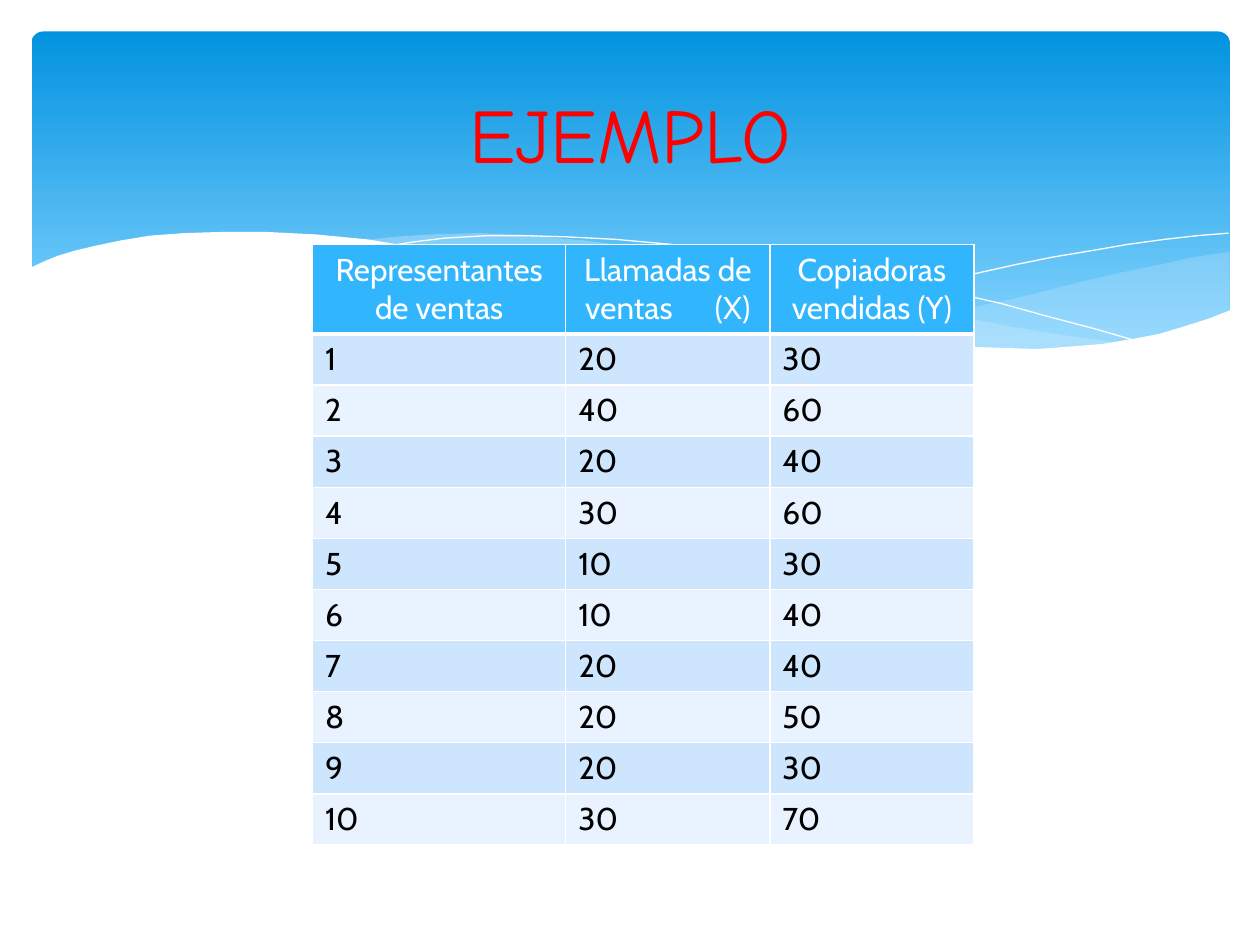
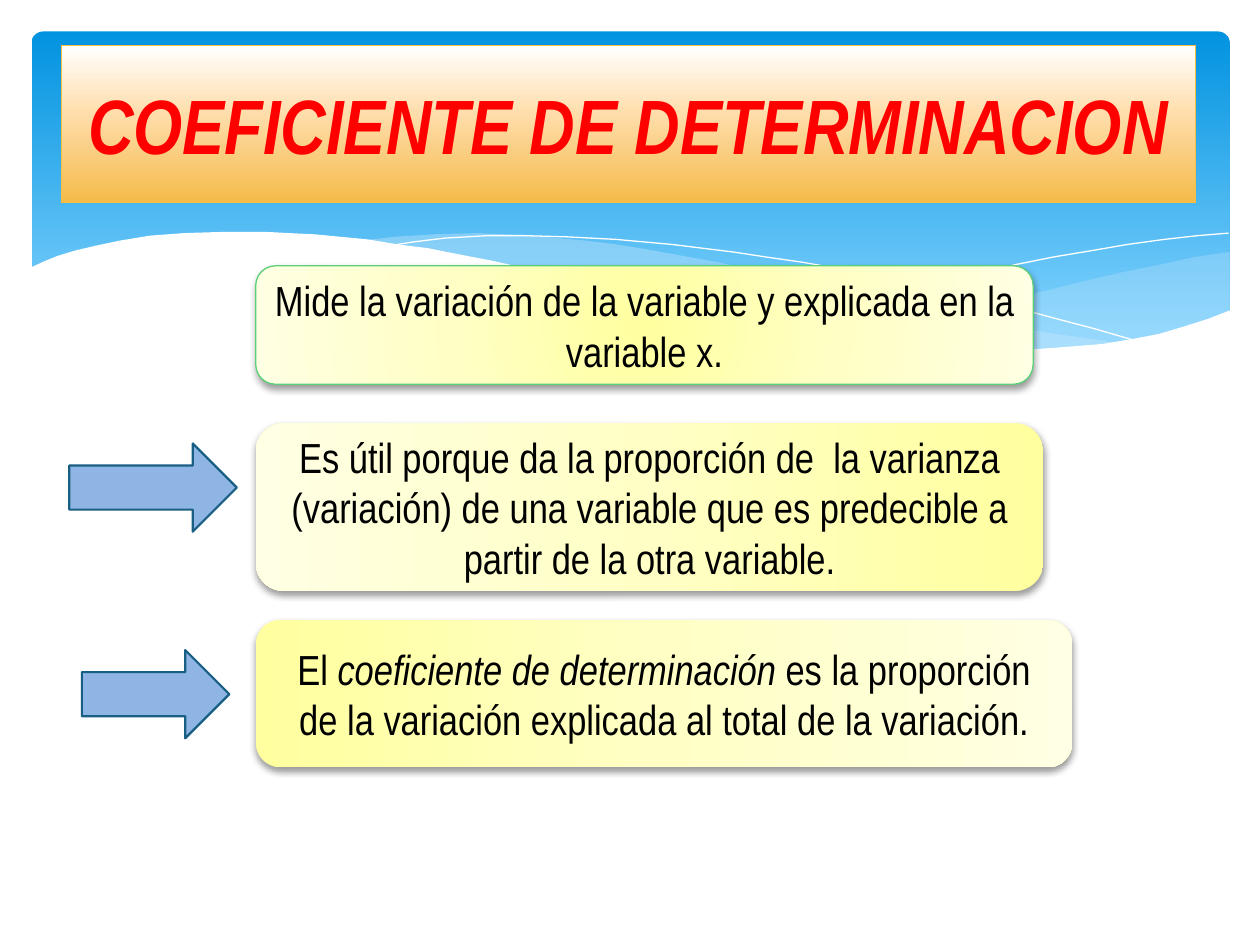
from lxml import etree
from pptx import Presentation
from pptx import util as u
from pptx.dml.color import RGBColor
from pptx.enum import shapes, text
from pptx.oxml import ns, parse_xml

KINDS = shapes.MSO_SHAPE
CENTER = text.PP_ALIGN.CENTER
NAMESPACE = ns.nsdecls("a")

SKY = [(0, "0293E0"), (90, "83D3FE")]
AMBER = [(0, "FFFFFF"), (44, "FFDDAA"), (100, "F4BB4A")]
CREAM = [(0, "FFFFA0"), (50, "FFFFC5"), (100, "FFFFE3")]
WHITE, BLACK, RED, MIST = "FFFFFF", "000000", "FF0000", "C6E7FC"
HEADER, BANDS = "31B6FD", ("CEE5FE", "E8F3FF")
BODY_FONT, TITLE_FONT, NARROW_FONT = "Cabin", "Comic Neue", "Arial Narrow"

RIGHT_SWOOSH = [
    (9.75, 2), (9.48, 2.04), (9.21, 2.1), (8.91, 2.16), (8.61, 2.23),
    (8.05, 2.37), (7.53, 2.48), (7.06, 2.57), (6.61, 2.65), (6.91, 2.69),
    (7.19, 2.72), (7.45, 2.75), (7.69, 2.77), (8.03, 2.78), (8.35, 2.77),
    (8.63, 2.75), (8.89, 2.72), (9.13, 2.67), (9.35, 2.62), (9.49, 2.57),
    (9.63, 2.52), (9.76, 2.47), (9.76, 2)]
LONG_SWOOSH = [
    (8.93, 2.73), (8.66, 2.69), (8.37, 2.65), (8.07, 2.6), (7.75, 2.54),
    (7.41, 2.47), (7.06, 2.4), (6.68, 2.31), (6.29, 2.22), (5.98, 2.14),
    (5.69, 2.08), (5.41, 2.03), (5.14, 1.98), (4.89, 1.94), (4.65, 1.91),
    (4.42, 1.89), (4.2, 1.87), (3.8, 1.85), (3.44, 1.86), (3.13, 1.88),
    (2.86, 1.91), (3.23, 1.96), (3.62, 2.03), (4.04, 2.11), (4.49, 2.22),
    (4.91, 2.32), (5.3, 2.4), (5.66, 2.48), (6.01, 2.55), (6.34, 2.61),
    (6.65, 2.66), (6.95, 2.7), (7.22, 2.74), (7.48, 2.76), (7.85, 2.78),
    (8.28, 2.78), (8.57, 2.77), (8.76, 2.75)]
LONG_LINE = [
    (3.09, 1.95), (3.28, 1.92), (3.53, 1.89), (3.87, 1.87), (4.16, 1.87),
    (4.5, 1.88), (4.89, 1.9), (5.33, 1.94), (5.82, 2), (6.08, 2.04),
    (6.36, 2.08), (6.65, 2.13), (6.95, 2.19), (7.27, 2.26), (7.6, 2.33),
    (7.95, 2.41), (8.31, 2.51), (8.69, 2.61), (9.07, 2.72)]
RIGHT_LINE = [
    (6.13, 2.57), (6.53, 2.46), (6.95, 2.35), (7.48, 2.23), (8.06, 2.1),
    (8.36, 2.04), (8.66, 1.99), (8.95, 1.94), (9.24, 1.9), (9.51, 1.87),
    (9.75, 1.85)]
WHITE_WAVE = [
    (9.77, 2.46), (9.59, 2.53), (9.4, 2.59), (9.2, 2.65), (8.99, 2.69),
    (8.75, 2.73), (8.5, 2.75), (8.23, 2.77), (7.93, 2.76), (7.61, 2.75),
    (7.26, 2.72), (6.88, 2.68), (6.48, 2.62), (6.03, 2.54), (5.55, 2.45),
    (5.03, 2.33), (4.47, 2.2), (4.18, 2.13), (3.91, 2.07), (3.65, 2.02),
    (3.4, 1.97), (3.16, 1.94), (2.92, 1.9), (2.71, 1.88), (2.5, 1.86),
    (2.3, 1.85), (2.11, 1.84), (1.77, 1.84), (1.46, 1.85), (1.19, 1.87),
    (0.95, 1.91), (0.76, 1.95), (0.59, 1.99), (0.46, 2.03), (0.36, 2.07),
    (0.23, 2.13), (0.23, 3.29), (9.77, 3.29)]

SALES = [(20, 30), (40, 60), (20, 40), (30, 60), (10, 30),
         (10, 40), (20, 40), (20, 50), (20, 30), (30, 70)]


def color(code):
    return RGBColor.from_string(code)


class SlideMaker:
    def __init__(self):
        self.deck = Presentation()
        self.deck.slide_width = u.Inches(10)
        self.deck.slide_height = u.Inches(7.5)

    def new_slide(self):
        self.page = self.deck.slides.add_slide(self.deck.slide_layouts[6])
        band = self.shape(KINDS.ROUNDED_RECTANGLE, (0.25, 0.25, 9.51, 2.7))
        band.adjustments[0] = 0.034
        self.gradient(band, SKY, 90)
        self.area(RIGHT_SWOOSH, MIST, 29)
        self.area(LONG_SWOOSH, MIST, 40)
        self.curve(LONG_LINE)
        self.curve(RIGHT_LINE)
        self.area(WHITE_WAVE, WHITE)

    def shape(self, kind, place, fill=WHITE, line=None, width=0.75):
        box = self.page.shapes.add_shape(kind, *map(u.Inches, place))
        box.shadow.inherit = False
        box.fill.solid()
        box.fill.fore_color.rgb = color(fill)
        self.outline(box, line, width)
        return box

    def outline(self, box, line, width):
        if line:
            box.line.color.rgb = color(line)
            box.line.width = u.Pt(width)
        else:
            box.line.fill.background()

    def gradient(self, box, stops, angle=None):
        marks = "".join(
            f'<a:gs pos="{at * 1000}"><a:srgbClr val="{code}"/></a:gs>'
            for at, code in stops)
        if angle is None:
            course = ('<a:path path="circle"><a:fillToRect l="50000" t="50000" '
                      'r="50000" b="50000"/></a:path>')
        else:
            course = f'<a:lin ang="{angle * 60000}" scaled="0"/>'
        solid = box.element.spPr.find(ns.qn("a:solidFill"))
        solid.getparent().replace(solid, parse_xml(
            f'<a:gradFill {NAMESPACE} rotWithShape="1">'
            f'<a:gsLst>{marks}</a:gsLst>{course}</a:gradFill>'))

    def drop_shadow(self, box):
        box.element.spPr.find(ns.qn("a:effectLst")).append(parse_xml(
            f'<a:outerShdw {NAMESPACE} blurRad="{u.Pt(4)}" dist="{u.Pt(2)}" '
            f'dir="5400000" rotWithShape="0"><a:srgbClr val="{BLACK}">'
            '<a:alpha val="38000"/></a:srgbClr></a:outerShdw>'))

    def freeform(self, points, close):
        corners = [(u.Inches(x), u.Inches(y)) for x, y in points]
        builder = self.page.shapes.build_freeform(*corners[0])
        builder.add_line_segments(corners[1:], close=close)
        form = builder.convert_to_shape()
        form.shadow.inherit = False
        return form

    def area(self, points, fill, opacity=100):
        form = self.freeform(points, True)
        form.fill.solid()
        form.fill.fore_color.rgb = color(fill)
        form.line.fill.background()
        if opacity < 100:
            tint = form.element.spPr.find(".//" + ns.qn("a:srgbClr"))
            etree.SubElement(tint, ns.qn("a:alpha"), val=str(opacity * 1000))

    def curve(self, points):
        form = self.freeform(points, False)
        form.fill.background()
        self.outline(form, WHITE, 0)

    def add_runs(self, para, runs, size, font, ink, bold=None):
        for words, italic in runs:
            span = para.add_run()
            span.text = words
            span.font.size = u.Pt(size)
            span.font.name = font
            span.font.color.rgb = color(ink)
            span.font.bold = bold
            span.font.italic = italic

    def centered(self, box, runs, *style):
        frame = box.text_frame
        frame.word_wrap = True
        frame.vertical_anchor = text.MSO_ANCHOR.MIDDLE
        para = frame.paragraphs[0]
        para.alignment = CENTER
        self.add_runs(para, runs, *style)

    def plain_title(self, words):
        box = self.page.shapes.add_textbox(
            *map(u.Inches, (0.5, 0.37, 9, 1.37)))
        self.centered(box, [(words, None)], 44, TITLE_FONT, RED)

    def banner_title(self, words):
        box = self.shape(KINDS.ROUNDED_RECTANGLE, (0.49, 0.36, 9, 1.25),
                         line="F5C040")
        box.adjustments[0] = 0
        self.gradient(box, AMBER, 90)
        self.centered(box, [(words, True)], 44, NARROW_FONT, RED, True)

    def card(self, kind, place, runs, angle=None, line=None):
        box = self.shape(kind, place, line=line)
        self.gradient(box, CREAM, angle)
        self.drop_shadow(box)
        self.centered(box, runs, 24, NARROW_FONT, BLACK)

    def arrow(self, place):
        self.shape(KINDS.RIGHT_ARROW, place, "8FB5E5", "195F84", 1.25)

    def borders(self, cell, top, bottom):
        for side, width in (("L", 1), ("R", 1), ("T", top), ("B", bottom)):
            cell._tc.get_or_add_tcPr().append(parse_xml(
                f'<a:ln{side} {NAMESPACE} w="{u.Pt(width)}"><a:solidFill>'
                f'<a:srgbClr val="{WHITE}"/></a:solidFill></a:ln{side}>'))

    def table(self, place, widths, rows):
        grid = self.page.shapes.add_table(
            len(rows), len(widths), *map(u.Inches, place)).table
        for column, width in zip(grid.columns, widths):
            column.width = u.Inches(width)
        for r, row in enumerate(rows):
            for c, value in enumerate(row):
                cell = grid.cell(r, c)
                self.borders(cell, 3 if r == 1 else 1, 3 if r == 0 else 1)
                cell.fill.solid()
                cell.fill.fore_color.rgb = color(
                    BANDS[(r - 1) % 2] if r else HEADER)
                para = cell.text_frame.paragraphs[0]
                if r == 0:
                    para.alignment = CENTER
                if "\t" in str(value):
                    self.tab_stop(para, 1.03)
                self.add_runs(para, [(str(value), None)], 18, BODY_FONT,
                              BLACK if r else WHITE, False)

    def tab_stop(self, para, at):
        stops = etree.SubElement(para._p.get_or_add_pPr(), ns.qn("a:tabLst"))
        etree.SubElement(stops, ns.qn("a:tab"), pos=str(u.Inches(at)),
                         algn="l")


maker = SlideMaker()

maker.new_slide()
headings = ("Representantes de ventas", "Llamadas de ventas\t(X)",
            "Copiadoras vendidas (Y)")
numbered = [(number, *pair) for number, pair in enumerate(SALES, 1)]
maker.table((2.48, 1.94, 5.25, 4.46), (2.01, 1.62, 1.62),
            [headings, *numbered])
maker.plain_title("EJEMPLO")

maker.new_slide()
maker.banner_title("COEFICIENTE DE DETERMINACION")
maker.card(KINDS.FLOWCHART_ALTERNATE_PROCESS, (2.03, 2.11, 6.17, 0.94),
           [("Mide la variación de la variable y explicada en la variable x.",
             None)], line="5BD078")
maker.arrow((0.55, 3.52, 1.33, 0.7))
maker.card(KINDS.ROUNDED_RECTANGLE, (2.03, 3.36, 6.25, 1.33),
           [("Es útil porque da la proporción de  la varianza (variación) de "
             "una variable que es predecible a partir de la otra variable.",
             None)], 180)
maker.arrow((0.65, 5.16, 1.17, 0.7))
maker.card(KINDS.ROUNDED_RECTANGLE, (2.03, 4.92, 6.48, 1.17),
           [("El ", None), ("coeficiente de determinación", True),
            (" es la proporción de la variación explicada al total de la "
             "variación.", None)], 0)

maker.deck.save("out.pptx")
